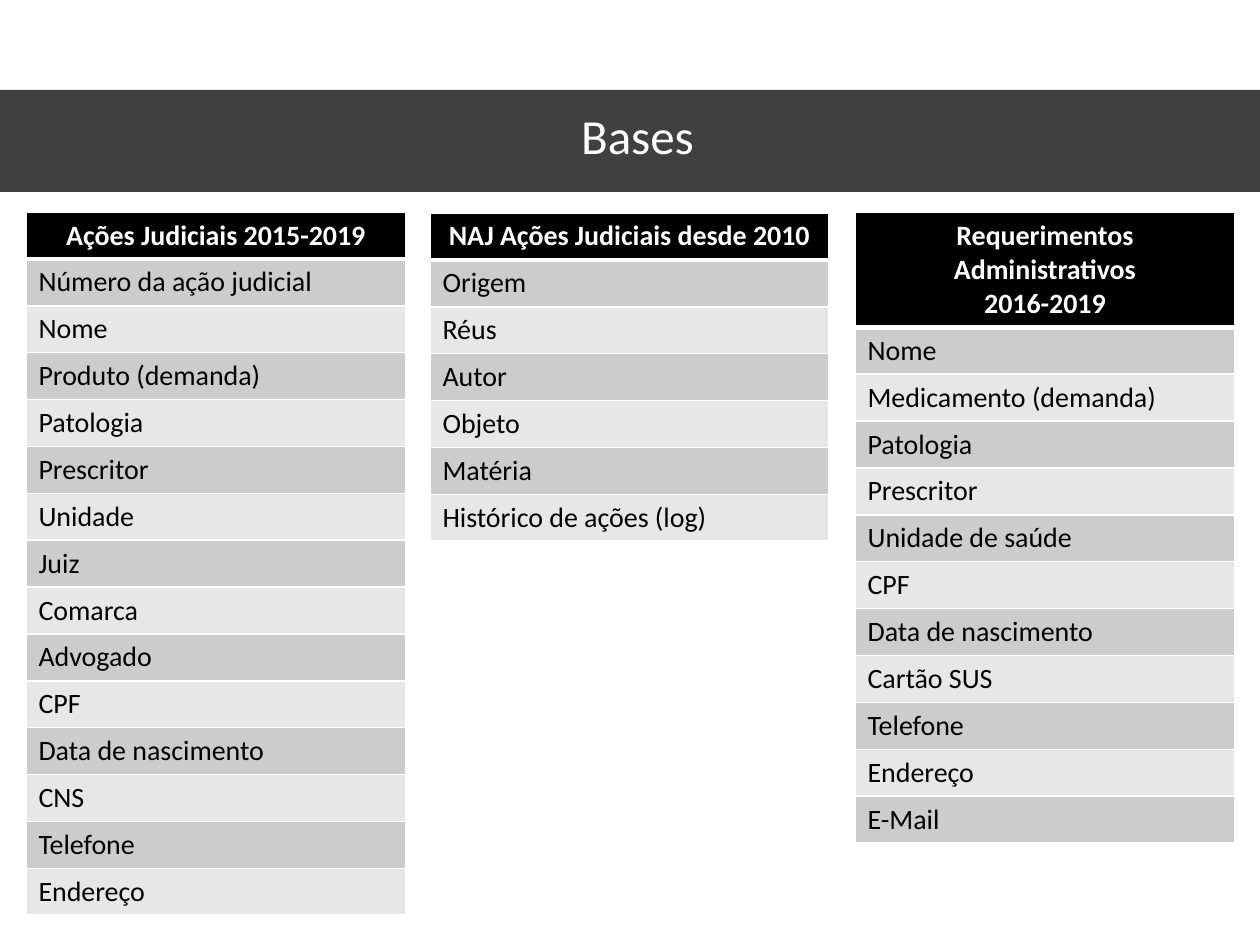
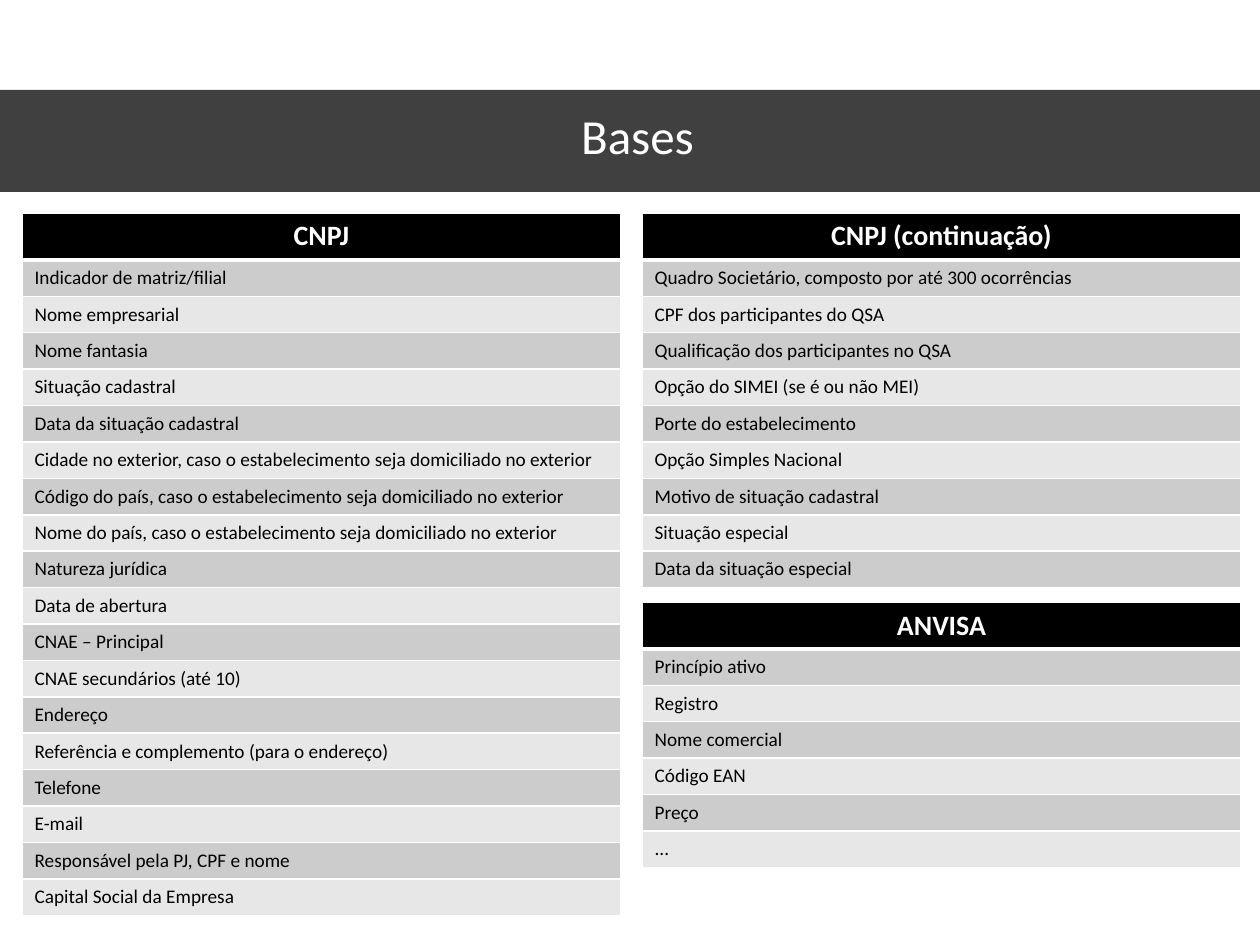
"""Build two slides that list the fields of each data base."""
from dataclasses import dataclass

from lxml.etree import SubElement
from pptx import Presentation
from pptx.dml.color import RGBColor
from pptx.enum.shapes import MSO_SHAPE as Shape
from pptx.enum.text import MSO_ANCHOR as Anchor, PP_ALIGN as Align
from pptx.oxml.ns import qn
from pptx.util import Emu, Inches, Pt

BLACK = RGBColor(0x00, 0x00, 0x00)
WHITE = RGBColor(0xFF, 0xFF, 0xFF)
DARK = RGBColor(0xCC, 0xCC, 0xCC)
LIGHT = RGBColor(0xE7, 0xE7, 0xE7)
FONT = "Calibri"
SCALE = 914400 / 126
THIN, THICK = 1, 3


@dataclass
class Base:
    """A one-column list of fields under a heading."""
    head: str
    left: int
    top: int
    width: int
    size: int
    step: int
    rows: list[str]
    tall: int = 46


FIRST = [
    Base("Requerimentos Administrativos\n2016-2019", 855, 212, 380, 16, 46, [
        "Nome", "Medicamento (demanda)", "Patologia", "Prescritor",
        "Unidade de saúde", "CPF", "Data de nascimento", "Cartão SUS",
        "Telefone", "Endereço", "E-Mail"], 114),
    Base("Ações Judiciais 2015-2019", 26, 212, 380, 16, 46, [
        "Número da ação judicial", "Nome", "Produto (demanda)", "Patologia",
        "Prescritor", "Unidade", "Juiz", "Comarca", "Advogado", "CPF",
        "Data de nascimento", "CNS", "Telefone", "Endereço"]),
    Base("NAJ Ações Judiciais desde 2010", 430, 213, 399, 16, 46, [
        "Origem", "Réus", "Autor", "Objeto", "Matéria",
        "Histórico de ações (log)"]),
]
SECOND = [
    Base("CNPJ", 22, 213, 599, 11, 36, [
        "Indicador de matriz/filial", "Nome empresarial", "Nome fantasia",
        "Situação cadastral", "Data da situação cadastral",
        "Cidade no exterior, caso o estabelecimento seja domiciliado no exterior",
        "Código do país, caso o estabelecimento seja domiciliado no exterior",
        "Nome do país, caso o estabelecimento seja domiciliado no exterior",
        "Natureza jurídica", "Data de abertura", "CNAE – Principal",
        "CNAE secundários (até 10)", "Endereço",
        "Referência e complemento (para o endereço)", "Telefone", "E-mail",
        "Responsável pela PJ, CPF e nome", "Capital Social da Empresa"]),
    Base("CNPJ (continuação)", 642, 213, 599, 11, 36, [
        "Quadro Societário, composto por até 300 ocorrências",
        "CPF dos participantes do QSA",
        "Qualificação dos participantes no QSA",
        "Opção do SIMEI (se é ou não MEI)", "Porte do estabelecimento",
        "Opção Simples Nacional", "Motivo de situação cadastral",
        "Situação especial", "Data da situação especial"]),
    Base("ANVISA", 642, 602, 599, 11, 36, [
        "Princípio ativo", "Registro", "Nome comercial", "Código EAN",
        "Preço", "..."]),
]


def px(size: int) -> Emu:
    """Turn px into EMU."""
    return Emu(round(size * SCALE))


def style(para, size: int, color: RGBColor, bold: bool = False) -> None:
    """Set the font of a paragraph."""
    font = para.font
    font.name, font.size, font.bold = FONT, Pt(size), bold
    font.color.rgb = color


def edge(cell, top: int, base: int) -> None:
    """Draw the white borders of a cell, with widths in points."""
    props = cell._tc.get_or_add_tcPr()
    for side, wide in zip("LRTB", (THIN, THIN, top, base)):
        line = SubElement(props, qn(f"a:ln{side}"), w=str(Pt(wide)))
        fill = SubElement(line, qn("a:solidFill"))
        SubElement(fill, qn("a:srgbClr"), val=str(WHITE))


def add_band(slide) -> None:
    """Add the title on its grey band."""
    band = slide.shapes.add_shape(Shape.RECTANGLE, 0, px(90), px(1260), px(102))
    band.shadow.inherit = False
    band.line.fill.background()
    band.fill.solid()
    band.fill.fore_color.rgb = BLACK
    color = band.element.spPr.find(qn("a:solidFill"))[0]
    SubElement(color, qn("a:alpha"), val="75000")

    title = slide.shapes.title
    title.element.addprevious(band.element)
    title.left, title.top = px(58), px(88)
    title.width, title.height = px(1159), px(102)
    title.text = "Bases"
    title.text_frame.vertical_anchor = Anchor.MIDDLE
    para = title.text_frame.paragraphs[0]
    para.alignment, para.line_spacing = Align.CENTER, 0.9
    style(para, 28, WHITE)


def add_base(slide, base: Base) -> None:
    """Add one base as a table."""
    texts = [base.head, *base.rows]
    high = base.tall + base.step * len(base.rows)
    table = slide.shapes.add_table(
        len(texts), 1, px(base.left), px(base.top), px(base.width), px(high)).table
    for i, text in enumerate(texts):
        head = i == 0
        table.rows[i].height = px(base.tall if head else base.step)
        cell = table.cell(i, 0)
        cell.text = text
        edge(cell, THICK if i == 1 else THIN, THICK if head else THIN)
        cell.fill.solid()
        cell.fill.fore_color.rgb = BLACK if head else DARK if i % 2 else LIGHT
        for para in cell.text_frame.paragraphs:
            para.alignment = Align.CENTER if head else Align.LEFT
            style(para, 16 if head else base.size, WHITE if head else BLACK, head)


def main() -> None:
    """Build and save the slides."""
    deck = Presentation()
    deck.slide_width, deck.slide_height = Inches(10), Inches(7.5)
    for bases in (FIRST, SECOND):
        slide = deck.slides.add_slide(deck.slide_layouts[5])
        add_band(slide)
        for base in bases:
            add_base(slide, base)
    deck.save("out.pptx")


if __name__ == "__main__":
    main()
